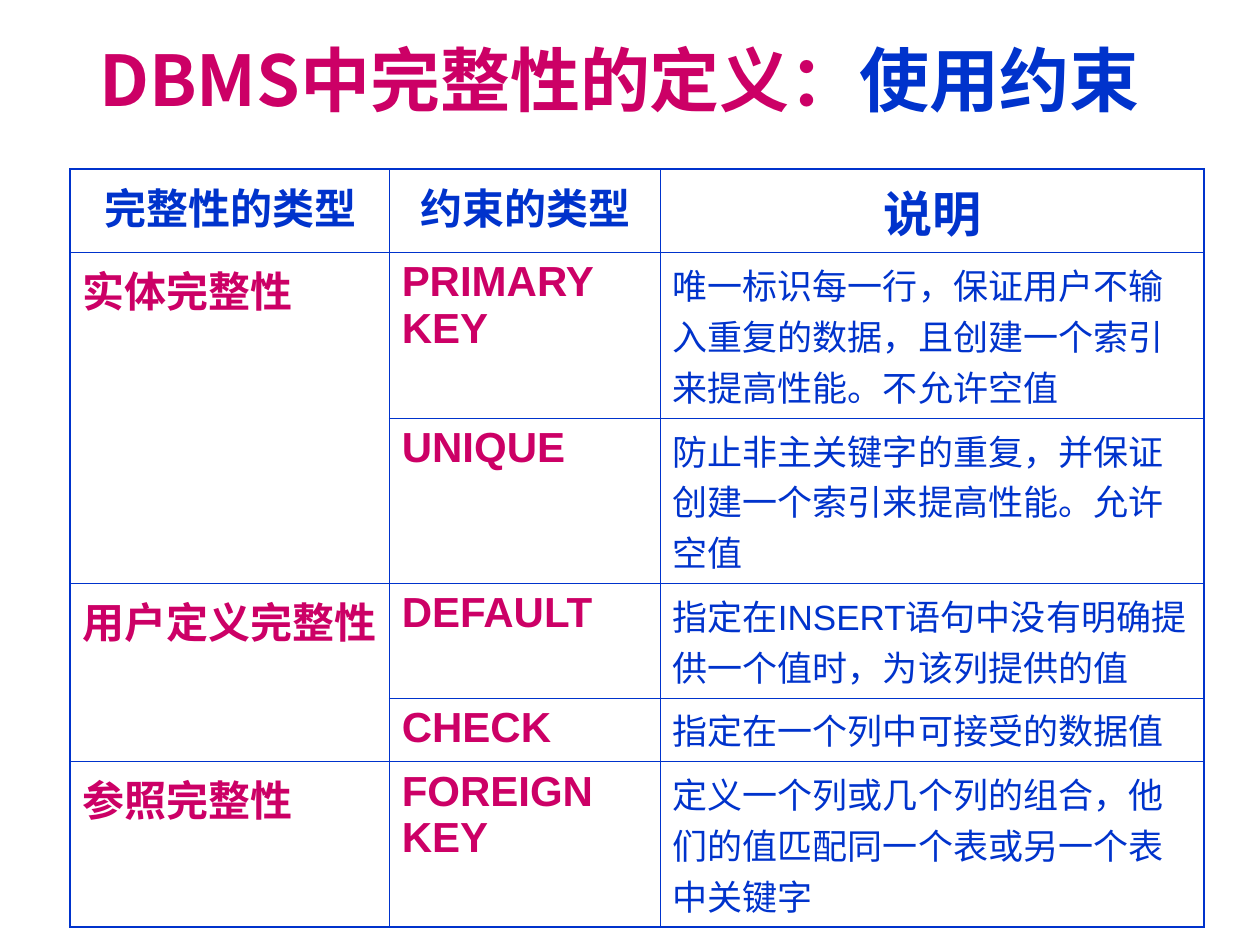
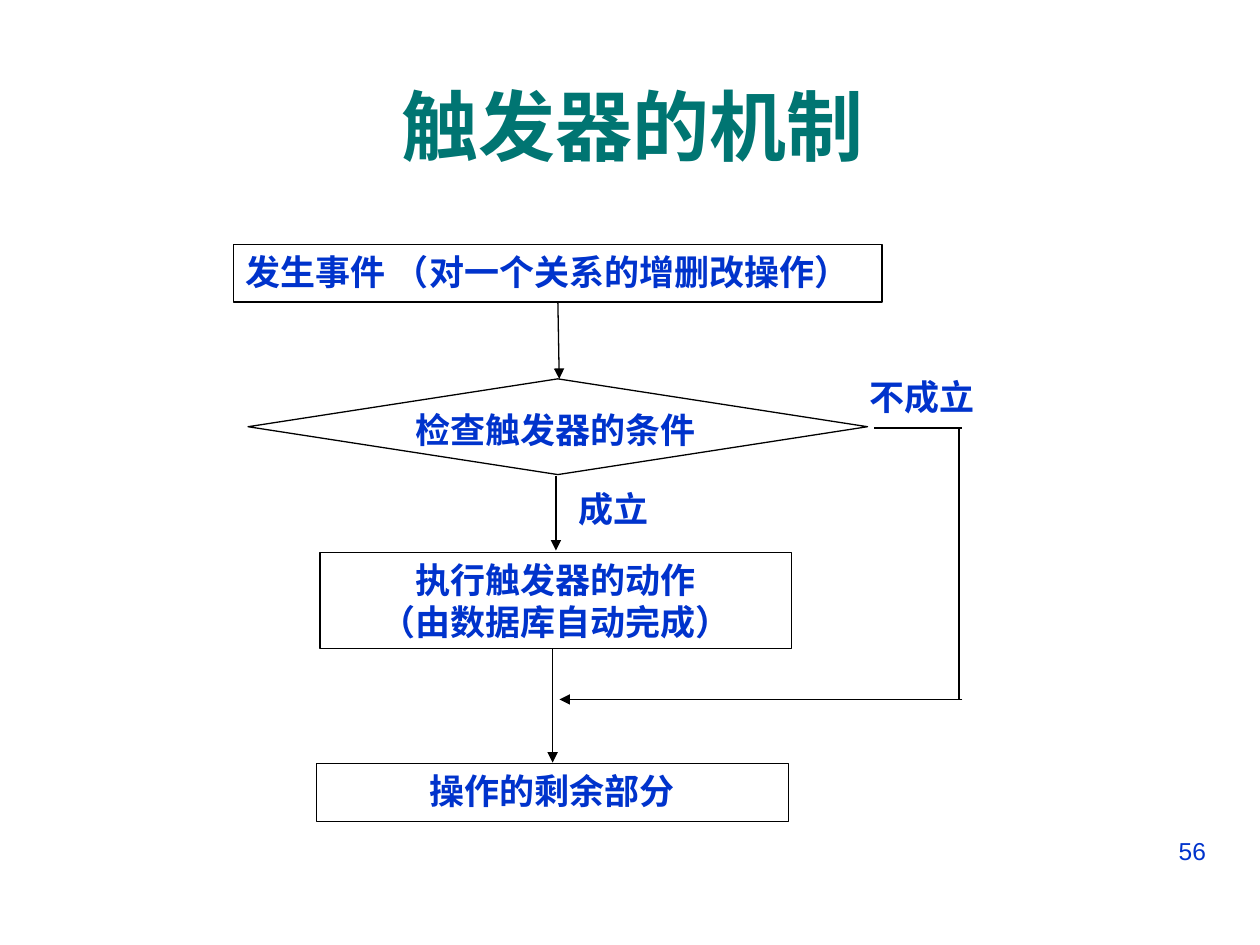
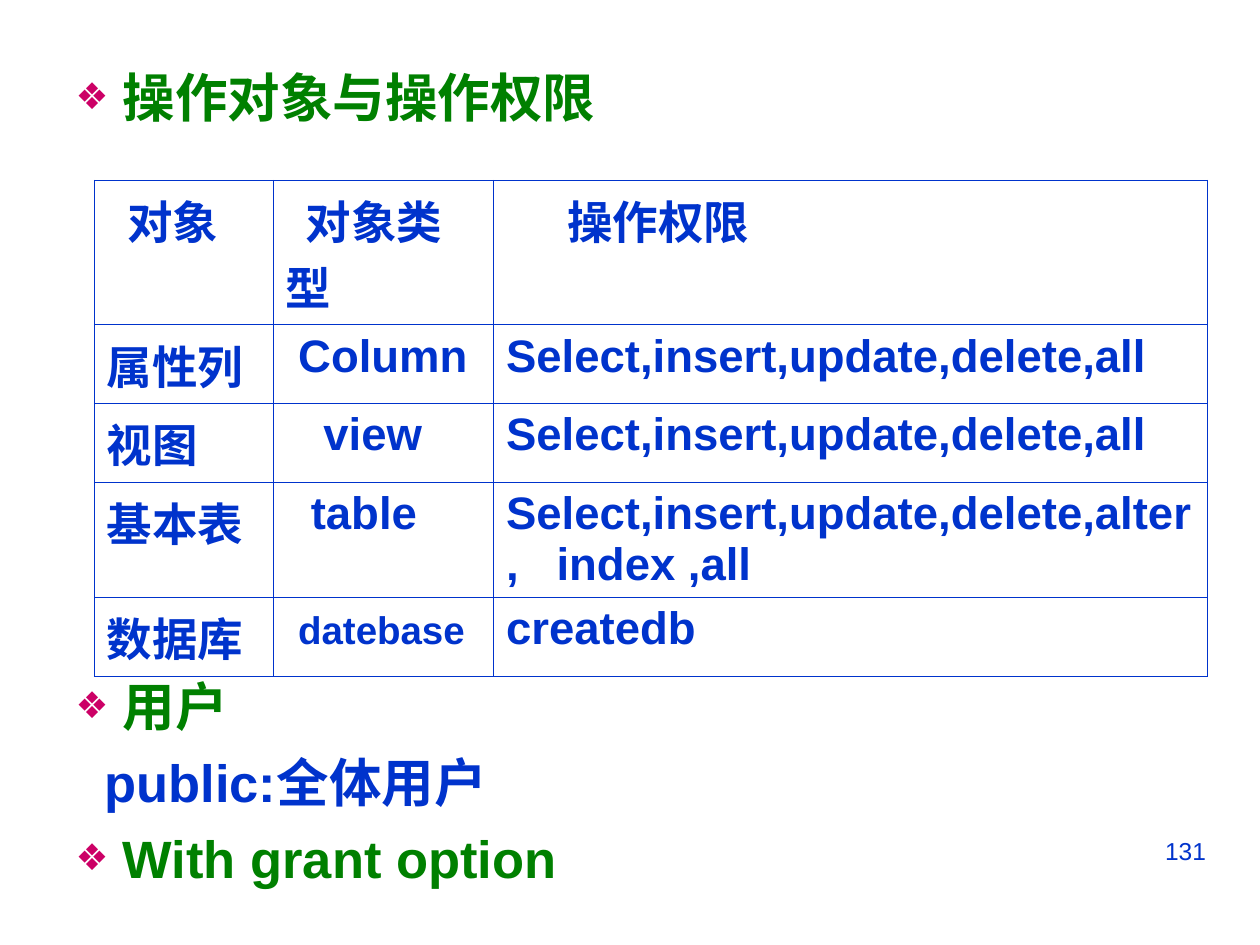
from lxml.etree import SubElement
from pptx import Presentation
from pptx.dml.color import RGBColor
from pptx.enum.shapes import MSO_CONNECTOR, MSO_SHAPE
from pptx.enum.text import MSO_ANCHOR, MSO_AUTO_SIZE, PP_ALIGN
from pptx.oxml import parse_xml
from pptx.oxml.ns import nsdecls, qn
from pptx.util import Pt

BLUE, PINK, TEAL, GREEN = "0033CC", "CC0066", "007572", "008000"
BLACK, WHITE = "000000", "FFFFFF"
HAN, SANS, SERIF = "Noto Sans CJK SC", "Arial", "Times New Roman"
LEFT, MID, RIGHT, FULL = PP_ALIGN.LEFT, PP_ALIGN.CENTER, PP_ALIGN.RIGHT, PP_ALIGN.JUSTIFY


def rgb(code):
    return RGBColor.from_string(code)


def style(run, size, color, bold=True, face=SANS):
    font = run.font
    font.size, font.bold, font.name = Pt(size), bold, face
    font.color.rgb = rgb(color)
    SubElement(run._r.get_or_add_rPr(), qn("a:ea")).set("typeface", HAN)


def indent(para, margin, first):
    props = para._p.get_or_add_pPr()
    props.set("marL", str(Pt(margin)))
    props.set("indent", str(Pt(first)))
    return props


def place(shape, box):
    shape.left, shape.top, shape.width, shape.height = map(Pt, box)


def pad(frame, top, bottom):
    frame.margin_left = frame.margin_right = Pt(7.2)
    frame.margin_top, frame.margin_bottom = Pt(top), Pt(bottom)
    frame.word_wrap = True
    frame.auto_size = MSO_AUTO_SIZE.NONE


def title(slide, box, parts, size, face):
    shape = slide.shapes.title
    place(shape, box)
    frame = shape.text_frame
    pad(frame, 0, 0)
    frame.vertical_anchor = MSO_ANCHOR.MIDDLE
    para = frame.paragraphs[0]
    para.alignment = MID
    para.line_spacing = Pt(round(size * 1.2))
    for text, color in parts:
        run = para.add_run()
        run.text = text
        style(run, size, color, face=face)


def number(slide, text):
    shape = slide.shapes.add_textbox(Pt(516.3), Pt(474), Pt(180), Pt(37.5))
    frame = shape.text_frame
    pad(frame, 3.6, 3.6)
    frame.text = text
    para = frame.paragraphs[0]
    para.alignment = RIGHT
    style(para.runs[0], 14, BLUE, False)


def node(slide, kind, box, text, align=MID, line=True, anchor=MSO_ANCHOR.TOP):
    shape = slide.shapes.add_shape(kind, *map(Pt, box))
    shape.shadow.inherit = False
    shape.fill.solid()
    shape.fill.fore_color.rgb = rgb(WHITE)
    if line:
        shape.line.color.rgb = rgb(BLACK)
        shape.line.width = Pt(0.75)
    else:
        shape.line.fill.background()
    frame = shape.text_frame
    pad(frame, 3.6, 0)
    frame.vertical_anchor = anchor
    para = frame.paragraphs[0]
    para.text = text
    para.alignment = align
    para.line_spacing = Pt(24)
    for run in para.runs:
        style(run, 20, BLUE, face=SERIF)


def link(slide, ends, arrow=True):
    line = slide.shapes.add_connector(MSO_CONNECTOR.STRAIGHT, *map(Pt, ends))
    line.line.color.rgb = rgb(BLACK)
    line.line.width = Pt(0.75)
    if arrow:
        SubElement(line.line._get_or_add_ln(), qn("a:tailEnd")).set("type", "triangle")
    SubElement(line._element.spPr, qn("a:effectLst"))


def border(cell, widths):
    props = cell._tc.get_or_add_tcPr()
    for spot, (side, width) in enumerate(zip("LRTB", widths)):
        props.insert(spot, parse_xml(
            f'<a:ln{side} {nsdecls("a")} w="{Pt(width)}"><a:solidFill>'
            f'<a:srgbClr val="{BLUE}"/></a:solidFill></a:ln{side}>'))


def grid(slide, spot, cols, rows, outer, inner=0.45):
    shape = slide.shapes.add_table(
        len(rows), len(cols), *map(Pt, spot), Pt(sum(cols)), Pt(sum(rows)))
    table = shape.table
    table.first_row = table.horz_banding = False
    for col, width in zip(table.columns, cols):
        col.width = Pt(width)
    for row, height in zip(table.rows, rows):
        row.height = Pt(height)
    for r in range(len(rows)):
        for c in range(len(cols)):
            cell = table.cell(r, c)
            cell.fill.background()
            cell.margin_right = Pt(6.6)
            edges = (c == 0, c == len(cols) - 1, r == 0, r == len(rows) - 1)
            border(cell, [outer if edge else inner for edge in edges])
    return table


def fill(cell, text, size, color=BLUE, bold=True, align=LEFT, face=SANS, first=0):
    para = cell.text_frame.paragraphs[0]
    para.text = text
    para.alignment = align
    indent(para, 0, first)
    style(para.runs[0], size, color, bold, face)
    return para


def rules(deck):
    slide = deck.slides.add_slide(deck.slide_layouts[5])
    title(slide, (48, 0, 612, 90),
          [("DBMS中完整性的定义：", PINK), ("使用约束", BLUE)], 40, HAN)
    table = grid(slide, (40, 96.7), (182.4, 154.8, 310.8),
                 (47.5, 94.5, 94.5, 65.5, 36.5, 94.5), 1.08)
    heads = [("完整性的类型", 24), ("约束的类型", 24), ("说明", 28)]
    for c, (text, size) in enumerate(heads):
        fill(table.cell(0, c), text, size, align=MID)
    for r, last, text in [(1, 2, "实体完整性"), (3, 4, "用户定义完整性"), (5, 5, "参照完整性")]:
        if last > r:
            table.cell(r, 0).merge(table.cell(last, 0))
        fill(table.cell(r, 0), text, 24, PINK, face=HAN)
    notes = [
        ("PRIMARY KEY", "唯一标识每一行，保证用户不输入重复的数据，且创建一个索引来提高性能。不允许空值"),
        ("UNIQUE", "防止非主关键字的重复，并保证创建一个索引来提高性能。允许空值"),
        ("DEFAULT", "指定在INSERT语句中没有明确提供一个值时，为该列提供的值"),
        ("CHECK", "指定在一个列中可接受的数据值"),
        ("FOREIGN KEY", "定义一个列或几个列的组合，他们的值匹配同一个表或另一个表中关键字"),
    ]
    for r, (key, note) in enumerate(notes, 1):
        fill(table.cell(r, 1), key, 24, PINK)
        fill(table.cell(r, 2), note, 20, bold=False)


def flow(deck):
    slide = deck.slides.add_slide(deck.slide_layouts[5])
    number(slide, "56")
    title(slide, (25.2, 26, 672.5, 90), [("触发器的机制", TEAL)], 44, SANS)
    rect = MSO_SHAPE.RECTANGLE
    node(slide, rect, (133.4, 139.7, 370.6, 33), "发生事件 （对一个关系的增删改操作）", FULL)
    node(slide, MSO_SHAPE.FLOWCHART_DECISION, (141.8, 216.5, 354, 54.7),
         "检查触发器的条件", FULL, anchor=MSO_ANCHOR.MIDDLE)
    node(slide, rect, (182.8, 315.8, 269.5, 54.7), "执行触发器的动作\v（由数据库自动完成）")
    node(slide, rect, (180.9, 436.3, 269.5, 33), "操作的剩余部分")
    node(slide, rect, (323.3, 275, 100.8, 33), "成立", FULL, False)
    node(slide, rect, (490, 211, 99.4, 31), "不成立", FULL, False)
    for ends in [(318.8, 172.8, 319.6, 216.5), (317.7, 272.2, 317.7, 314.6),
                 (550, 399.7, 319.7, 399.7), (315.8, 370.3, 315.8, 435.8)]:
        link(slide, ends)
    for ends in [(499.7, 244.6, 550, 244.6), (548.1, 244.6, 548.1, 399.7)]:
        link(slide, ends, False)


def bullet(para):
    props = indent(para, 27, -27)
    tint = SubElement(SubElement(props, qn("a:buClr")), qn("a:srgbClr"))
    tint.set("val", PINK)
    SubElement(props, qn("a:buSzPct")).set("val", "70000")
    SubElement(props, qn("a:buChar")).set("char", "❖")


def plain(para):
    SubElement(indent(para, 16.5, 0), qn("a:buNone"))


def points(slide):
    body = slide.placeholders[1]
    place(body, (36, 34, 684, 486))
    frame = body.text_frame
    pad(frame, 3.2, 3.6)
    frame.vertical_anchor = MSO_ANCHOR.TOP
    items = [("操作对象与操作权限", bullet, GREEN, 0), ("用户", bullet, GREEN, 312),
             ("public:全体用户", plain, BLUE, 7.5), ("With grant option", bullet, GREEN, 7.5)]
    frame.text = "\n".join(item[0] for item in items)
    for para, (_, mark, color, gap) in zip(frame.paragraphs, items):
        mark(para)
        para.space_before = Pt(gap)
        para.line_spacing = Pt(36)
        style(para.runs[0], 30, color)


def extend(para, text, gap=0):
    run = para.add_run()
    run.text = text
    style(run, 26, BLUE)
    run._r.get_or_add_rPr().set("spc", str(round(gap * 100)))


def rights(deck):
    slide = deck.slides.add_slide(deck.slide_layouts[1])
    head = slide.shapes.title._element
    head.getparent().remove(head)
    number(slide, "131")
    points(slide)
    table = grid(slide, (53.8, 103), (102.2, 126, 408), (66, 42, 42, 66, 36), 0.45)
    for c, (text, first) in enumerate([("对象", 11.6), ("对象类型", 11.6), ("操作权限", 34.8)]):
        fill(table.cell(0, c), text, 26, first=first)
    common = "Select,insert,update,delete,all"
    rows = [
        ("属性列", "Column", 26, 7.2, common),
        ("视图", "view", 26, 21.6, common),
        ("基本表", "table", 26, 14.4, "Select,insert,update,delete,alter,"),
        ("数据库", "datebase", 22, 7.2, "createdb"),
    ]
    for r, (name, kind, size, first, grants) in enumerate(rows, 1):
        fill(table.cell(r, 0), name, 26)
        fill(table.cell(r, 1), kind, size, first=first)
        para = fill(table.cell(r, 2), grants, 26)
        if kind == "table":
            extend(para, " ", 14.4)
            extend(para, "index ,all")
    table.cell(4, 1).margin_top = Pt(7.2)


def main():
    deck = Presentation()
    deck.slide_width, deck.slide_height = Pt(720), Pt(540)
    rules(deck)
    flow(deck)
    rights(deck)
    deck.save("out.pptx")


if __name__ == "__main__":
    main()
